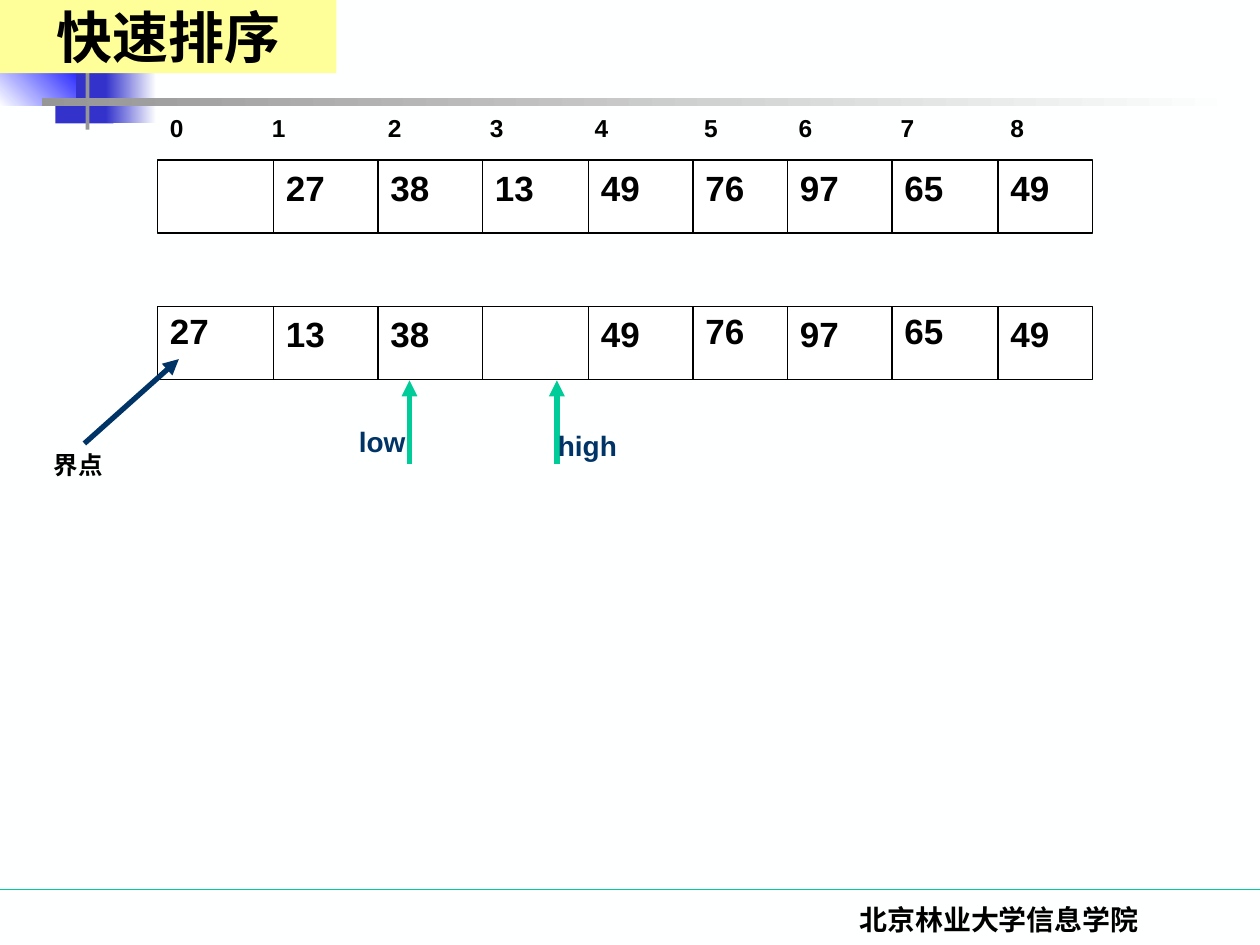
"""Build the quicksort partition slide."""
from lxml import etree
from pptx import Presentation
from pptx.dml.color import RGBColor
from pptx.enum import shapes, text
from pptx.oxml import ns
from pptx.util import Inches, Pt

BLACK, WHITE, PAPER = "000000", "FFFFFF", "FEFFFF"
NAVY, GREEN, GRAY, BLUE = "003366", "00CC99", "969696", "3333CC"
SERIF, SANS = "Times New Roman", "Arial"

DECOR = [
    ((0.44, 0.46, 0.46, 0.52), [BLUE], 0),
    ((0.84, 0.46, 0.4, 0.52), [BLUE, PAPER], 0),
    ((0, 0.38, 0.6, 0.46), [PAPER, "0000FF"], 45),
    ((0.68, 0, 0.03, 1.03), [GRAY], 0),
    ((0.33, 0.78, 9.51, 0.06), [GRAY, PAPER], 0),
]
EDGES = [1.25, 2.17, 3, 3.83, 4.67, 5.5, 6.25, 7.08, 7.92, 8.67]
INDEX_TABS = [0.81, 1.73, 2.54, 3.37, 4.24, 4.99, 5.8, 6.67]
ROW_HEIGHT = 0.58
ROWS = [
    (2.43, ["27", "13", "38", "", "49", "76", "97", "65", "49"], (0, 5, 7)),
    (1.27, ["", "27", "38", "13", "49", "76", "97", "65", "49"], ()),
]
POINTERS = [("high", 4.42, (4.33, 3.35)), ("low", 3.25, (2.75, 3.32))]


def rgb(value):
    return RGBColor.from_string(value)


def add_rect(s, box, colors, angle=0, outline=None):
    sp = s.shapes.add_shape(shapes.MSO_SHAPE.RECTANGLE, *map(Inches, box))
    sp.shadow.inherit = False
    if len(colors) == 1:
        sp.fill.solid()
        sp.fill.fore_color.rgb = rgb(colors[0])
    else:
        sp.fill.gradient()
        sp.fill.gradient_angle = angle
        for stop, color, place in zip(sp.fill.gradient_stops, colors, (0, 1)):
            stop.color.rgb = rgb(color)
            stop.position = place
    if outline:
        sp.line.color.rgb = rgb(outline)
        sp.line.width = Pt(0.75)
    else:
        sp.line.fill.background()
    return sp


def add_line(s, start, end, color, width=0.75, arrow=False):
    cx = s.shapes.add_connector(
        shapes.MSO_CONNECTOR.STRAIGHT, *map(Inches, (*start, *end)))
    cx.line.color.rgb = rgb(color)
    cx.line.width = Pt(width)
    if arrow:
        etree.SubElement(cx.line._get_or_add_ln(), ns.qn("a:tailEnd"), type="triangle")
    etree.SubElement(cx._element.spPr, ns.qn("a:effectLst"))


def write(sp, words, size, font=SANS, color=BLACK, center=False, tabs=()):
    tf = sp.text_frame
    tf.word_wrap = True
    tf.text = words
    p = tf.paragraphs[0]
    p.alignment = text.PP_ALIGN.CENTER if center else text.PP_ALIGN.LEFT
    if tabs:
        stops = etree.SubElement(p._p.get_or_add_pPr(), ns.qn("a:tabLst"))
        for tab in tabs:
            etree.SubElement(stops, ns.qn("a:tab"), pos=str(Inches(tab)), algn="l")
    for r in p.runs:
        r.font.name, r.font.size, r.font.bold = font, Pt(size), True
        r.font.color.rgb = rgb(color)


def add_text(s, box, words, size, **style):
    write(s.shapes.add_textbox(*map(Inches, box)), words, size, **style)


def add_row(s, top, values, raised):
    add_rect(s, (EDGES[0], top, EDGES[-1] - EDGES[0], ROW_HEIGHT), [WHITE], outline=BLACK)
    for x in EDGES[1:-1]:
        add_line(s, (x, top), (x, top + ROW_HEIGHT), BLACK)
    for i, value in enumerate(values):
        if value:
            y = top - 0.02 if i in raised else top
            add_text(s, (EDGES[i], y, 0.67, 0.44), value, 20)


def main():
    prs = Presentation()
    prs.slide_width, prs.slide_height = Inches(10), Inches(7.5)
    s = prs.slides.add_slide(prs.slide_layouts[6])
    s.background.fill.solid()
    s.background.fill.fore_color.rgb = rgb(PAPER)

    add_line(s, (0, 7.06), (10, 7.06), GREEN)
    for box, colors, angle in DECOR:
        add_rect(s, box, colors, angle)
    add_text(s, (5.86, 7.11, 4.14, 0.39), "北京林业大学信息学院", 16, font=SERIF, center=True)

    for row in ROWS:
        add_row(s, *row)
    indexes = "\t".join(map(str, range(len(EDGES) - 1)))
    add_text(s, (EDGES[0], 0.85, EDGES[-1] - EDGES[0], 0.34), indexes, 14, tabs=INDEX_TABS)

    for name, x, corner in POINTERS:
        add_line(s, (x, 3.68), (x, 3.02), GREEN, 3, arrow=True)
        add_text(s, (*corner, 0.92, 0.37), name, 16, color=NAVY)
    add_text(s, (0.33, 3.52, 0.83, 0.34), "界点", 14)
    add_line(s, (0.67, 3.52), (1.42, 2.85), NAVY, 3, arrow=True)

    title = add_rect(s, (0, 0, 2.67, 0.58), ["FFFF99"])
    title.text_frame.vertical_anchor = text.MSO_ANCHOR.MIDDLE
    write(title, "快速排序", 32, font=SERIF, center=True)
    prs.save("out.pptx")


if __name__ == "__main__":
    main()
